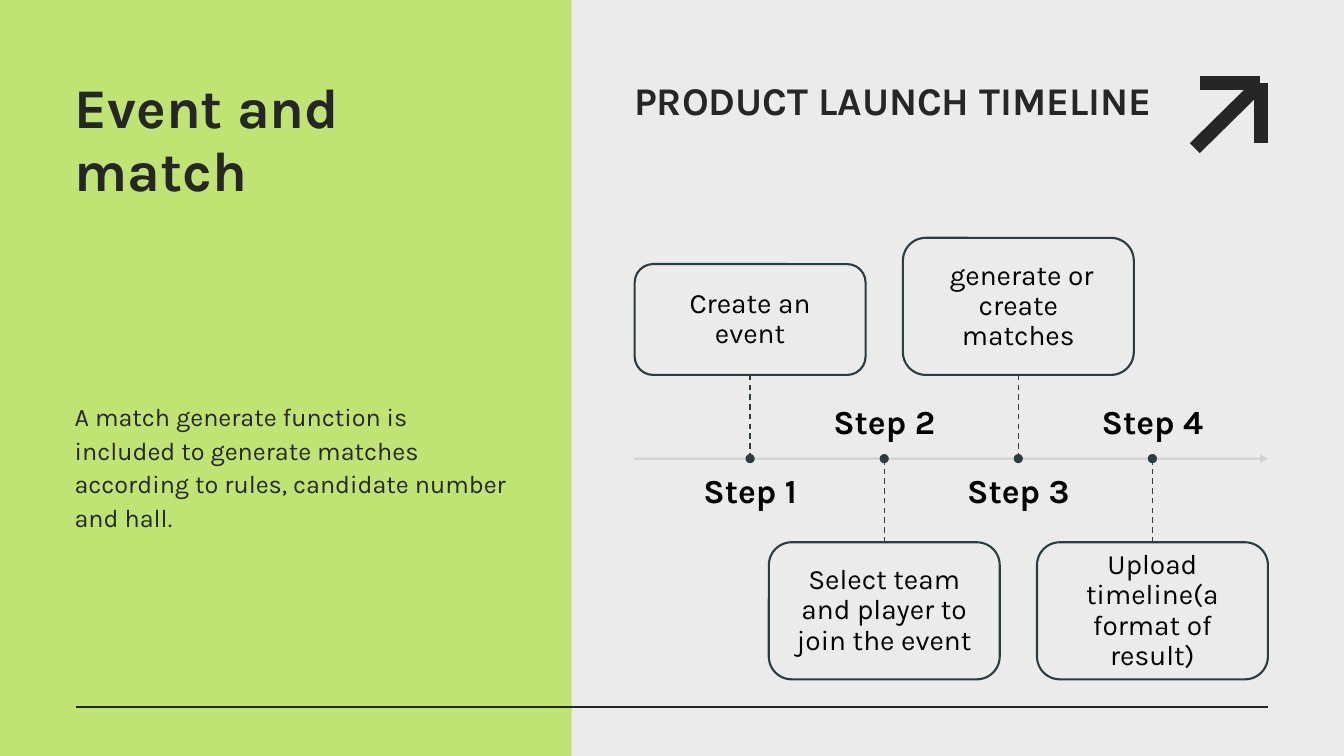
from dataclasses import dataclass

from lxml import etree
from pptx import Presentation
from pptx import util as u
from pptx.dml.color import RGBColor
from pptx.enum import dml, shapes, text
from pptx.oxml import ns


@dataclass(frozen=True)
class Theme:
    font: str = "Karla"
    background: str = "EBEBEB"
    accent: str = "C0E474"
    ink: str = "262626"
    label: str = "000000"
    outline: str = "2C3C43"
    axis: str = "CDCECF"
    title_size: int = 40
    heading_size: int = 28
    step_size: int = 24
    box_size: int = 20
    body_size: int = 18


THEME = Theme()
AXIS_Y = 4.55
AXIS_LEFT, AXIS_RIGHT = 6.29, 12.58
BOX_WIDTH = 2.29
FIRST_NODE, NODE_GAP = 7.44, 1.33
LEADER = 0.83
DOT = 0.07
STEPS = [
    ("Create an event", 1.1),
    ("Select team and player to join the event", 1.36),
    (" generate or create matches", 1.36),
    ("Upload timeline(a format of result)", 1.36),
]


def inches(*values):
    return [u.Inches(value) for value in values]


def rgb(color):
    return RGBColor.from_string(color)


def add_alpha(fill_parent, percent):
    color = fill_parent.find(ns.qn("a:solidFill"))[0]
    etree.SubElement(color, ns.qn("a:alpha"), val=str(percent * 1000))


def write(frame, words, size, color, bold=False, align=text.PP_ALIGN.LEFT,
          anchor=text.MSO_ANCHOR.TOP, inset=0, spacing=None, before=0):
    frame.word_wrap = True
    frame.auto_size = text.MSO_AUTO_SIZE.NONE
    frame.vertical_anchor = anchor
    frame.margin_left = frame.margin_right = u.Inches(inset)
    frame.margin_top = frame.margin_bottom = u.Inches(inset)
    paragraph = frame.paragraphs[0]
    paragraph.text = words
    paragraph.alignment = align
    paragraph.space_before = u.Pt(before)
    if spacing:
        paragraph.line_spacing = spacing
    font = paragraph.font
    font.name, font.size, font.bold = THEME.font, u.Pt(size), bold
    font.color.rgb = rgb(color)


def fill_placeholder(placeholder, area, words, size, **style):
    placeholder.left, placeholder.top, placeholder.width, placeholder.height = inches(*area)
    write(placeholder.text_frame, words, size, THEME.ink, **style)


def add_line(slide, start, end, color, width, dash=None):
    line = slide.shapes.add_connector(shapes.MSO_CONNECTOR.STRAIGHT, *inches(*start, *end))
    line.line.color.rgb = rgb(color)
    line.line.width = u.Pt(width)
    if dash:
        line.line.dash_style = dash
    etree.SubElement(line._element.spPr, ns.qn("a:effectLst"))
    return line


def add_block(slide, kind, area, fill, outline=None):
    block = slide.shapes.add_shape(kind, *inches(*area))
    block.shadow.inherit = False
    block.fill.solid()
    block.fill.fore_color.rgb = rgb(fill)
    if outline:
        block.line.color.rgb = rgb(outline)
        block.line.width = u.Pt(1.5)
    else:
        block.line.fill.background()
    return block


def add_backdrop(slide):
    slide.background.fill.solid()
    slide.background.fill.fore_color.rgb = rgb(THEME.background)
    panel = add_block(slide, shapes.MSO_SHAPE.RECTANGLE, (0, 0, 5.67, 7.5), THEME.accent)
    slide.shapes._spTree.insert(2, panel._element)
    add_line(slide, (0.75, 7.01), (12.58, 7.01), THEME.ink, 1.5)
    for start, end in [((11.9, 0.82), (12.5, 0.82)),
                       ((12.51, 0.82), (12.51, 1.42)),
                       ((11.85, 1.47), (12.44, 0.89))]:
        add_line(slide, start, end, THEME.ink, 10)


def add_copy(slide):
    title, heading, unused_left, body, unused_right = slide.placeholders
    for unused in (unused_left, unused_right):
        unused._element.getparent().remove(unused._element)
    fill_placeholder(title, (0.74, 0.76, 4.3, 3.02), "Event and match",
                     THEME.title_size, bold=True, spacing=u.Pt(45))
    fill_placeholder(heading, (6.29, 0.76, 5.26, 1.32), "PRODUCT LAUNCH TIMELINE",
                     THEME.heading_size, bold=True, before=10)
    fill_placeholder(body, (0.74, 3.95, 4.3, 2.81),
                     "A match generate function is included to generate matches "
                     "according to rules, candidate number and hall.",
                     THEME.body_size, spacing=u.Pt(24), before=10)


def add_axis(slide):
    axis = add_line(slide, (AXIS_LEFT, AXIS_Y), (AXIS_RIGHT, AXIS_Y), THEME.axis, 1.5)
    outline = axis.line._get_or_add_ln()
    add_alpha(outline, 90)
    etree.SubElement(outline, ns.qn("a:tailEnd"), type="triangle")


def add_step(slide, index, words, height):
    above = index % 2 == 0
    node = FIRST_NODE + index * NODE_GAP
    box_top = AXIS_Y - LEADER - height if above else AXIS_Y + LEADER
    box = add_block(slide, shapes.MSO_SHAPE.ROUNDED_RECTANGLE,
                    (node - BOX_WIDTH / 2, box_top, BOX_WIDTH, height),
                    THEME.background, THEME.outline)
    add_alpha(box._element.spPr, 90)
    write(box.text_frame, words, THEME.box_size, THEME.label, align=text.PP_ALIGN.CENTER,
          anchor=text.MSO_ANCHOR.MIDDLE, inset=0.19, spacing=0.9)

    box_edge = AXIS_Y - LEADER if above else AXIS_Y + LEADER
    leader = add_line(slide, (node, box_edge), (node, AXIS_Y), THEME.outline, 1,
                      dml.MSO_LINE.DASH)
    leader.begin_connect(box, 2 if above else 0)
    add_block(slide, shapes.MSO_SHAPE.OVAL, (node - DOT / 2, AXIS_Y - DOT / 2, DOT, DOT),
              THEME.outline, THEME.outline)

    label_top = 4.71 if above else 3.89
    label = slide.shapes.add_textbox(*inches(node - 1.01, label_top, 2.02, 0.49))
    write(label.text_frame, f"Step {index + 1}", THEME.step_size, THEME.label, bold=True,
          align=text.PP_ALIGN.CENTER, spacing=0.9,
          anchor=text.MSO_ANCHOR.TOP if above else text.MSO_ANCHOR.BOTTOM)


def main():
    deck = Presentation()
    deck.slide_width, deck.slide_height = inches(13.33, 7.5)
    slide = deck.slides.add_slide(deck.slide_layouts.get_by_name("Comparison"))
    add_backdrop(slide)
    add_copy(slide)
    add_axis(slide)
    for index, (words, height) in enumerate(STEPS):
        add_step(slide, index, words, height)
    deck.save("out.pptx")


if __name__ == "__main__":
    main()
